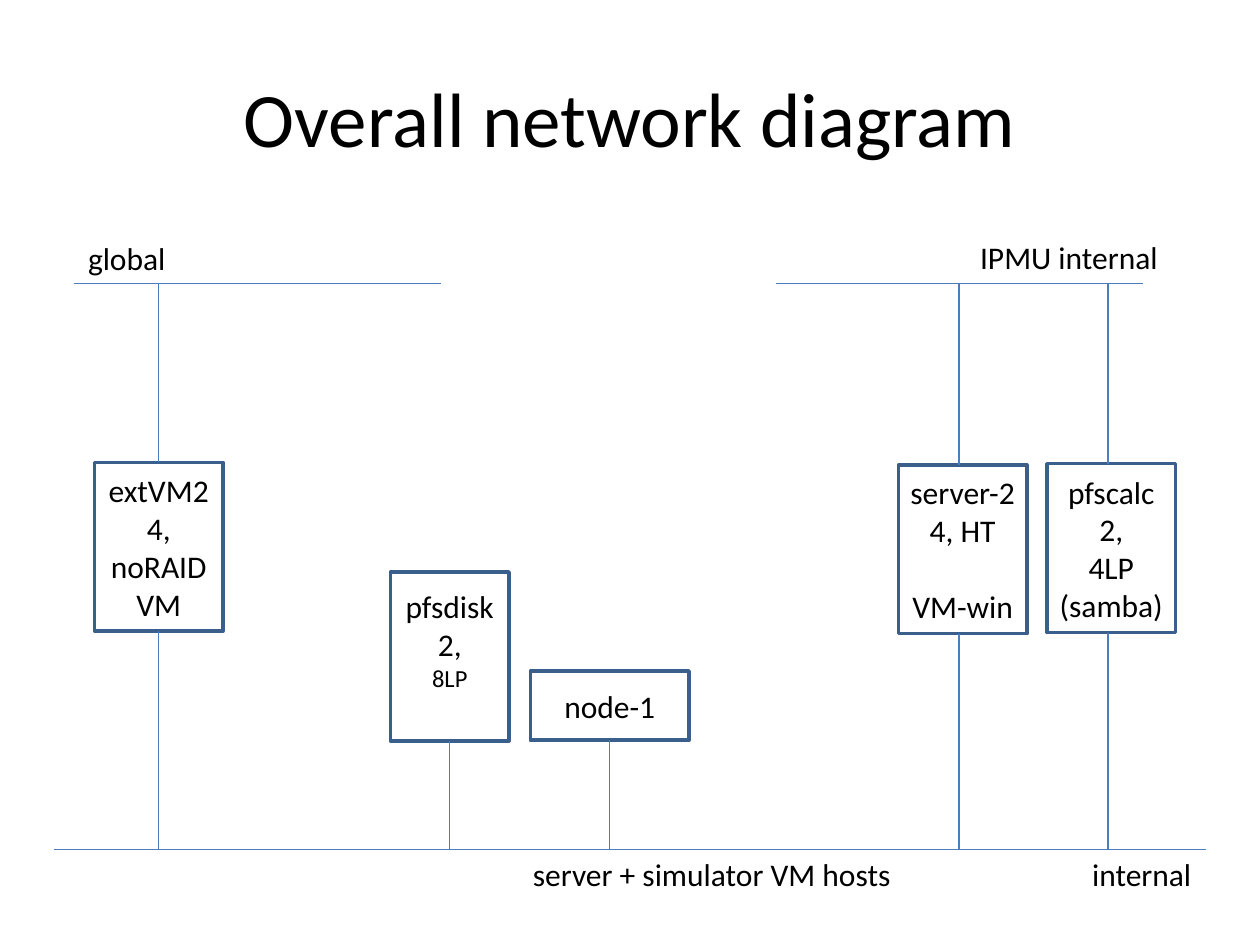
from lxml.etree import SubElement
from pptx import Presentation
from pptx.dml.color import RGBColor
from pptx.enum.shapes import MSO_CONNECTOR, MSO_SHAPE
from pptx.enum.text import MSO_ANCHOR, MSO_AUTO_SIZE, PP_ALIGN
from pptx.oxml.ns import qn
from pptx.util import Pt

FONT = "Calibri"
TEXT_COLOR = "000000"
LINK_COLOR = "4B7EBC"
BORDER_COLOR = "3A5F8C"
UPPER_Y = 162.2
INTERNAL_Y = 485.3
HOST_WIDTH, HOST_HEIGHT = 73.4, 96.5
TOP, BOTTOM = 0, 2


def color(hex_code):
    return RGBColor.from_string(hex_code)


def write(paragraph, text, size=18, align=PP_ALIGN.LEFT, gap=0):
    paragraph.alignment = align
    paragraph.space_before = Pt(gap)
    run = paragraph.add_run()
    run.text = text
    run.font.name = FONT
    run.font.size = Pt(size)
    run.font.color.rgb = color(TEXT_COLOR)


def add_label(slide, text, left, top, width, height=29, wrap=False,
              anchor=MSO_ANCHOR.TOP, **text_format):
    label = slide.shapes.add_textbox(Pt(left), Pt(top), Pt(width), Pt(height))
    frame = label.text_frame
    frame.word_wrap = wrap
    frame.auto_size = MSO_AUTO_SIZE.NONE if wrap else MSO_AUTO_SIZE.SHAPE_TO_FIT_TEXT
    frame.vertical_anchor = anchor
    write(frame.paragraphs[0], text, **text_format)


def add_host(slide, lines, left, top, width=HOST_WIDTH, height=HOST_HEIGHT,
             bottom_inset=3.6):
    """Draw a host box; each line is a text and its format."""
    host = slide.shapes.add_shape(
        MSO_SHAPE.RECTANGLE, Pt(left), Pt(top), Pt(width), Pt(height))
    host.shadow.inherit = False
    host.fill.background()
    host.line.color.rgb = color(BORDER_COLOR)
    host.line.width = Pt(2)
    frame = host.text_frame
    frame.word_wrap = False
    frame.vertical_anchor = MSO_ANCHOR.MIDDLE
    frame.margin_bottom = Pt(bottom_inset)
    for index, (text, text_format) in enumerate(lines):
        paragraph = frame.add_paragraph() if index else frame.paragraphs[0]
        write(paragraph, text, align=PP_ALIGN.CENTER, **text_format)
    return host


def add_link(slide, x1, y1, x2, y2):
    link = slide.shapes.add_connector(
        MSO_CONNECTOR.STRAIGHT, Pt(x1), Pt(y1), Pt(x2), Pt(y2))
    link.line.color.rgb = color(LINK_COLOR)
    link.line.width = Pt(0.75)
    SubElement(link._element.spPr, qn("a:effectLst"))
    return link


def link_host(slide, host, side, network_y, x=None):
    """Link a host to a network, at its middle unless x is given."""
    edge = host.top if side == TOP else host.top + host.height
    middle = (host.left + host.width / 2) / Pt(1)
    link_x = middle if x is None else x
    link = add_link(slide, link_x, network_y, link_x, edge / Pt(1))
    if x is None:
        link.end_connect(host, side)


def main():
    presentation = Presentation()
    presentation.slide_width, presentation.slide_height = Pt(720), Pt(540)
    slide = presentation.slides.add_slide(presentation.slide_layouts[6])

    # Title
    add_label(slide, "Overall network diagram", 36, 21.6, 648, 90, wrap=True,
              anchor=MSO_ANCHOR.MIDDLE, size=44, align=PP_ALIGN.CENTER)

    # Networks
    for start, end, y in ((42.5, 252, UPPER_Y), (443.5, 653, UPPER_Y),
                          (31, 689, INTERNAL_Y)):
        add_link(slide, start, y, end, y)
    for name, left, top, width in (
            ("global", 43.2, 133, 59),
            ("IPMU internal", 553, 132.7, 117.4),
            ("internal", 617, INTERNAL_Y, 72),
            ("server + simulator VM hosts", 297.4, INTERNAL_Y, 221)):
        add_label(slide, name, left, top, width)

    # Hosts
    ext_vm = add_host(slide, [("extVM2", {}), ("4,", {}), ("noRAID", {}), ("VM", {})],
                      54, 264.2)
    pfsdisk = add_host(slide, [("pfsdisk", {}), ("2,", {}), ("8LP", {"size": 14})],
                       223.2, 326.9, width=67.7, bottom_inset=23)
    node = add_host(slide, [("node-1", {})], 303.1, 383.4, width=90.7, height=39.6)
    server = add_host(slide, [("server-2", {}), ("4, HT", {}), ("VM-win", {"gap": 22})],
                      513.4, 265.7)
    pfscalc = add_host(slide, [("pfscalc", {}), ("2,", {}), ("4LP", {}), ("(samba)", {})],
                       598.3, 265)

    # Links from hosts to networks
    for host, x in ((ext_vm, None), (server, 548), (pfscalc, 633.2)):
        link_host(slide, host, TOP, UPPER_Y, x)
        link_host(slide, host, BOTTOM, INTERNAL_Y, x)
    for host in (pfsdisk, node):
        link_host(slide, host, BOTTOM, INTERNAL_Y)

    presentation.save("out.pptx")


if __name__ == "__main__":
    main()
